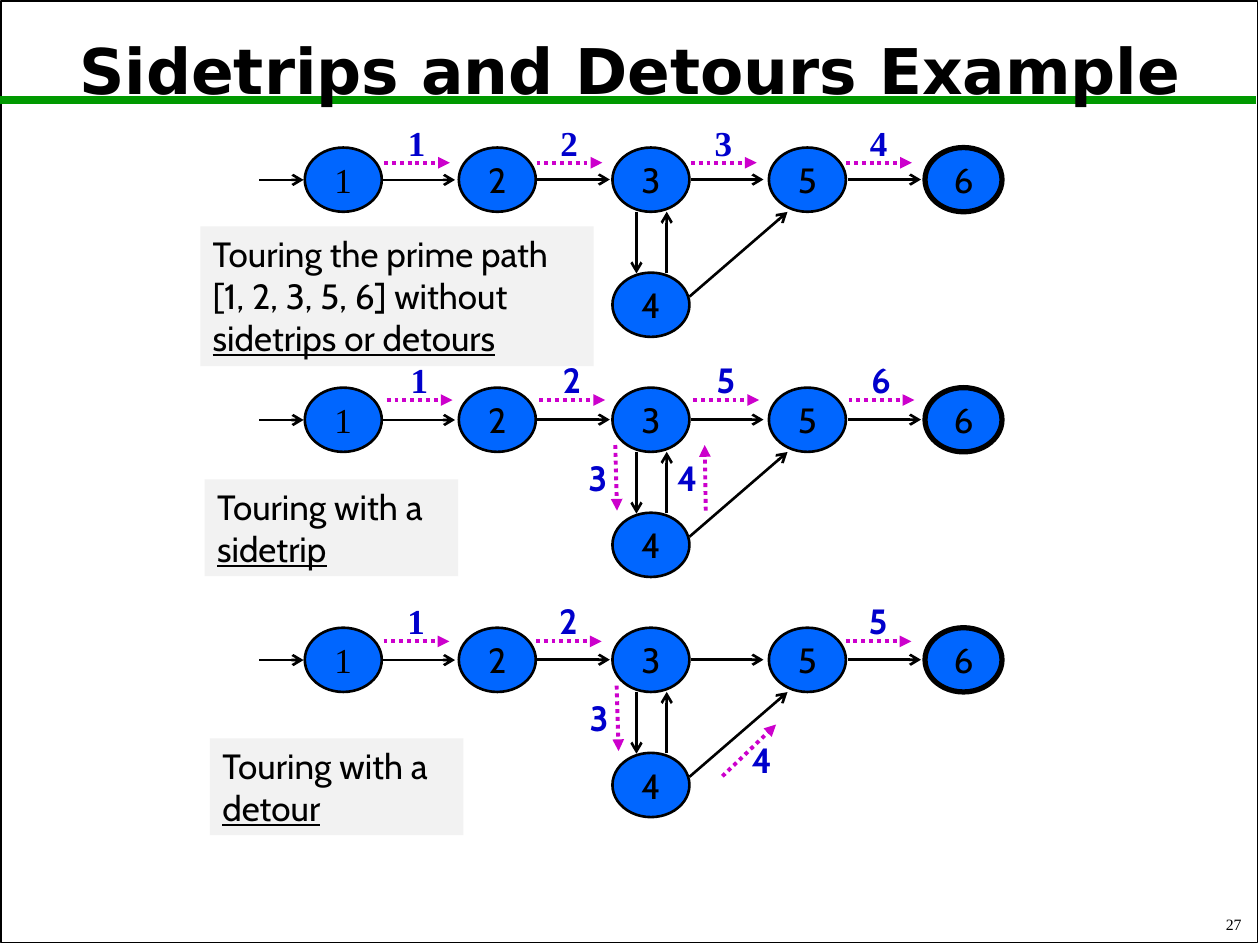
from dataclasses import dataclass

from lxml import etree
from pptx import Presentation
from pptx import util as u
from pptx.dml.color import RGBColor
from pptx.enum import dml, shapes, text
from pptx.oxml import ns

SERIF, SANS, TITLE_FONT = "Times New Roman", "Cabin", "DejaVu Sans"
BLACK, NODE_BLUE, LABEL_BLUE = "000000", "0066FF", "0000CC"
MAGENTA, GREEN, GREY = "CC00CC", "009900", "F2F2F2"

Point = tuple[float, float]
Box = tuple[float, float, float, float]


@dataclass
class Node:
    name: str
    left: float
    top: float = 0
    font: str = SANS
    border: float = 1.5


@dataclass
class Step:
    number: str
    start: Point
    end: Point
    label: Point
    font: str = SANS


@dataclass
class Caption:
    plain: str
    underlined: str
    box: Box


def across(number: str, left: float, top: float, font: str = SANS) -> Step:
    """A step that runs rightwards with its number above it."""
    return Step(number, (left, top), (left + 37.6, top), (left + 4.6, top - 27.2), font)


# Graph, measured from the top left of each row
NODE_SIZE = (44, 36.7)
ROW_TOPS = [84.3 + 137.2 * row for row in range(3)]
NODES = [
    Node("1", 174.2, font=SERIF),
    Node("2", 262.2),
    Node("3", 350),
    Node("5", 439.4),
    Node("6", 528.6, border=3),
    Node("4", 350, top=71.5),
]
EDGES = [
    ((148.3, 18.5), (173.5, 18.5)),
    ((218.2, 18.5), (260, 18.5)),
    ((306.7, 18.3), (348.5, 18.3)),
    ((394.6, 18.3), (436.3, 18.3)),
    ((484.6, 18.3), (526.3, 18.3)),
    ((363.7, 36.7), (363.7, 72)),
    ((381, 71.6), (381, 36.7)),
    ((394, 85.2), (450, 36.8)),
]

# Numbered steps of the three tours
STEPS = [
    across("1", 219.5, 93, SERIF),
    across("2", 306.6, 93, SERIF),
    across("3", 394.8, 93, SERIF),
    across("4", 483.5, 93, SERIF),
    across("1", 221, 228.6, SERIF),
    across("2", 308.2, 228.6),
    across("5", 396.2, 228.6),
    across("6", 484.9, 228.6),
    Step("3", (351.6, 254.3), (352.6, 291.8), (327.6, 257.2)),
    Step("4", (403.3, 291.8), (402.7, 254.3), (378.7, 257.2)),
    across("1", 219.2, 366.5, SERIF),
    across("2", 306.2, 366.5),
    across("5", 483.2, 366.5),
    Step("3", (352.4, 391.8), (353.5, 429.2), (328.3, 394.6)),
    Step("4", (412.8, 443.6), (443.5, 414), (421.4, 418.5)),
]
CAPTIONS = [
    Caption("Touring the prime path [1, 2, 3, 5, 6] without ",
            "sidetrips or detours", (114.5, 129.4, 224.8, 79.8)),
    Caption("Touring with a ", "sidetrip", (117, 274, 144.8, 55.2)),
    Caption("Touring with a ", "detour", (120, 422, 144.8, 55.2)),
]


def color(value: str) -> RGBColor:
    return RGBColor.from_string(value)


def write(shape, words: str, size: float, font: str, fill: str = BLACK,
          align=text.PP_ALIGN.CENTER, anchor=text.MSO_ANCHOR.MIDDLE, bold: bool = False):
    """Put one paragraph into a shape and return it."""
    frame = shape.text_frame
    frame.word_wrap = True
    frame.vertical_anchor = anchor
    paragraph = frame.paragraphs[0]
    paragraph.alignment = align
    paragraph.add_run().text = words
    paragraph.font.size = u.Pt(size)
    paragraph.font.name = font
    paragraph.font.bold = bold
    paragraph.font.color.rgb = color(fill)
    return paragraph


def add_textbox(slide, box: Box):
    return slide.shapes.add_textbox(*map(u.Pt, box))


def add_shape(slide, kind, box: Box, fill: str | None = None, border: float = 0):
    shape = slide.shapes.add_shape(kind, *map(u.Pt, box))
    shape.shadow.inherit = False
    if fill:
        shape.fill.solid()
        shape.fill.fore_color.rgb = color(fill)
    else:
        shape.fill.background()
    if border:
        shape.line.color.rgb = color(BLACK)
        shape.line.width = u.Pt(border)
    else:
        shape.line.fill.background()
    return shape


def add_line(slide, start: Point, end: Point, stroke: str, width: float,
             arrowhead: str | None = None, dotted: bool = False) -> None:
    line = slide.shapes.add_connector(
        shapes.MSO_CONNECTOR.STRAIGHT, *map(u.Pt, (*start, *end)))
    line.line.color.rgb = color(stroke)
    line.line.width = u.Pt(width)
    if dotted:
        line.line.dash_style = dml.MSO_LINE.ROUND_DOT
    properties = line._element.spPr
    if arrowhead:
        etree.SubElement(properties.find(ns.qn("a:ln")), ns.qn("a:tailEnd"), type=arrowhead)
    etree.SubElement(properties, ns.qn("a:effectLst"))


def add_graph(slide, top: float) -> None:
    for node in NODES:
        oval = add_shape(slide, shapes.MSO_SHAPE.OVAL,
                         (node.left, top + node.top, *NODE_SIZE), NODE_BLUE, node.border)
        frame = oval.text_frame
        frame.margin_left = frame.margin_right = frame.margin_top = frame.margin_bottom = 0
        write(oval, node.name, 20, node.font)
    for (x1, y1), (x2, y2) in EDGES:
        add_line(slide, (x1, top + y1), (x2, top + y2), BLACK, 1.5, "arrow")


def add_step(slide, step: Step) -> None:
    add_line(slide, step.start, step.end, MAGENTA, 2.25, "triangle", dotted=True)
    label = add_textbox(slide, (*step.label, 28, 31))
    write(label, step.number, 20, step.font, LABEL_BLUE,
          anchor=text.MSO_ANCHOR.TOP, bold=True)


def add_caption(slide, caption: Caption) -> None:
    panel = add_shape(slide, shapes.MSO_SHAPE.RECTANGLE, caption.box, GREY)
    paragraph = write(panel, caption.plain, 20, SANS,
                      align=text.PP_ALIGN.LEFT, anchor=text.MSO_ANCHOR.TOP)
    run = paragraph.add_run()
    run.text = caption.underlined
    run.font.underline = True


def main() -> None:
    presentation = Presentation()
    presentation.slide_width, presentation.slide_height = u.Pt(720), u.Pt(540)
    slide = presentation.slides.add_slide(presentation.slide_layouts[6])

    # Frame, rule, page number and title
    add_shape(slide, shapes.MSO_SHAPE.RECTANGLE, (0.6, 0.6, 718, 538), border=1)
    add_line(slide, (0, 57.4), (718, 57.4), GREEN, 4.5)
    write(add_textbox(slide, (566.6, 516.2, 150, 21)), "27", 9, SERIF,
          align=text.PP_ALIGN.RIGHT, anchor=text.MSO_ANCHOR.BOTTOM)
    title = write(add_textbox(slide, (3.6, 7.9, 712.8, 68.4)),
                  "Sidetrips and Detours Example", 36, TITLE_FONT, bold=True)
    title.line_spacing = 0.9

    # Three tours of the same graph
    for top in ROW_TOPS:
        add_graph(slide, top)
    for caption in CAPTIONS:
        add_caption(slide, caption)
    for step in STEPS:
        add_step(slide, step)

    presentation.save("out.pptx")


if __name__ == "__main__":
    main()
